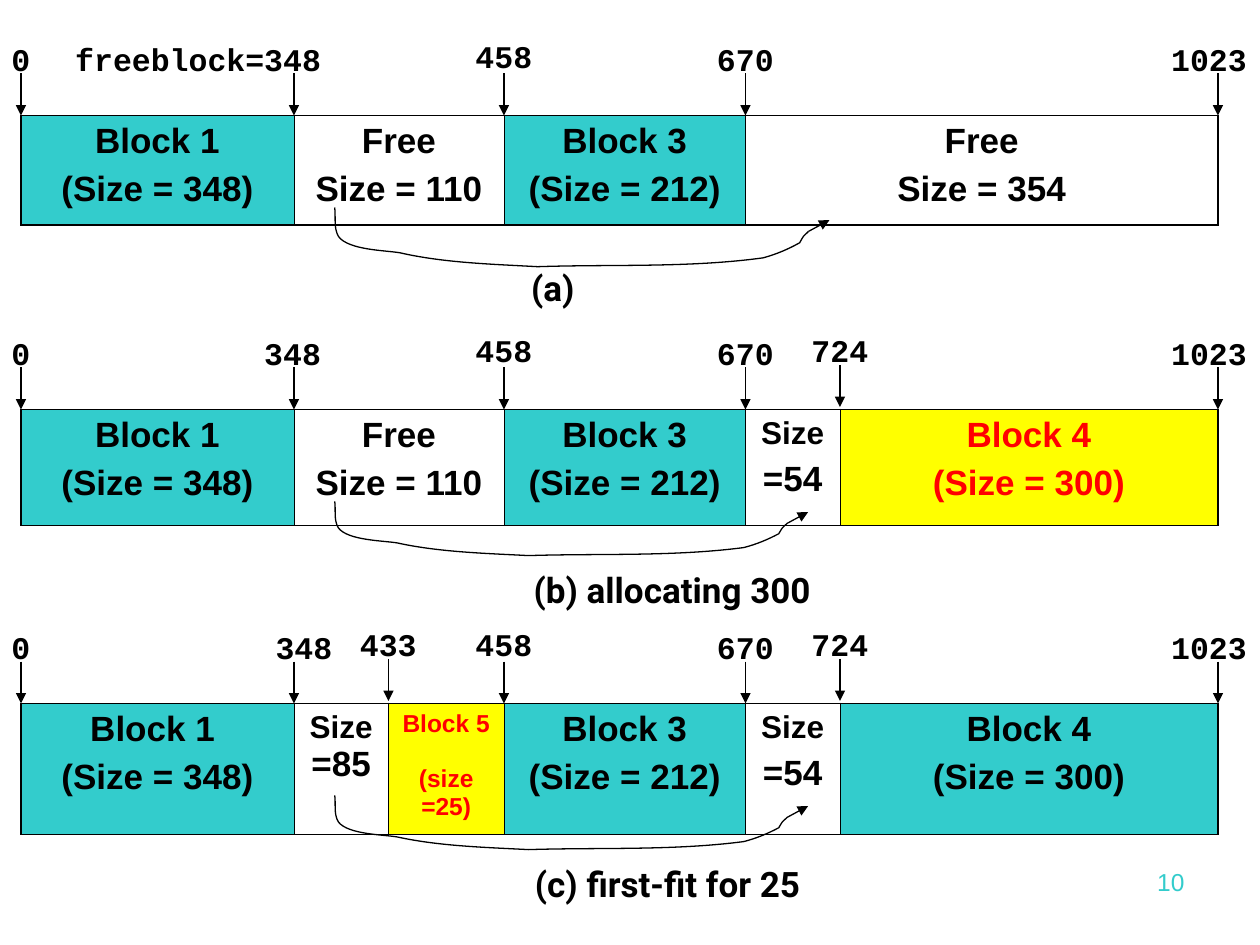
from itertools import pairwise

from lxml.etree import SubElement
from pptx import Presentation
from pptx.dml.color import RGBColor
from pptx.enum.shapes import MSO_CONNECTOR
from pptx.enum.text import MSO_ANCHOR, MSO_AUTO_SIZE, PP_ALIGN
from pptx.oxml.ns import qn
from pptx.util import Inches, Pt

COLORS = {
    "ink": "000000",
    "used": "33CCCC",
    "new": "FFFF00",
    "alert": "FF0000",
    "page": "33CCCC",
}
GRID = 1 / 12
EDGES = {address: cells * GRID for address, cells in
         {0: 0, 348: 26, 433: 35, 458: 46, 670: 69, 724: 78, 1023: 114}.items()}
RAISED_LABELS = (458, 433, 724)
RAISED_ARROWS = (433, 724)
LINK_CURVE = [
    (0.01, 0.08), (-0.01, 0.16), (0.03, 0.23),
    (0.11, 0.34), (0.41, 0.34), (0.52, 0.36),
    (0.87, 0.44), (1.25, 0.45), (1.61, 0.47),
    (2.21, 0.45), (2.81, 0.48), (3.4, 0.4),
    (3.51, 0.37), (3.6, 0.33), (3.69, 0.28),
    (3.73, 0.21), (3.71, 0.24), (3.76, 0.19),
]


def rgb(name):
    return RGBColor.from_string(COLORS[name])


def write(paragraph, text, size=20, font="Arial", color="ink", bold=True,
          align=PP_ALIGN.LEFT, before=0):
    paragraph.alignment = align
    paragraph.space_before = Pt(before)
    run = paragraph.add_run()
    run.text = text
    run.font.size = Pt(size)
    run.font.name = font
    run.font.bold = bold
    run.font.color.rgb = rgb(color)


def add_text(slide, left, top, width, height, text, wrap=False, **style):
    box = slide.shapes.add_textbox(Inches(left), Inches(top), Inches(width), Inches(height))
    frame = box.text_frame
    frame.word_wrap = wrap
    frame.auto_size = MSO_AUTO_SIZE.NONE if wrap else MSO_AUTO_SIZE.SHAPE_TO_FIT_TEXT
    write(frame.paragraphs[0], text, **style)


def add_arrow(slide, x1, y1, x2, y2):
    arrow = slide.shapes.add_connector(
        MSO_CONNECTOR.STRAIGHT, Inches(x1), Inches(y1), Inches(x2), Inches(y2))
    arrow.line.color.rgb = rgb("ink")
    arrow.line.width = Pt(0.75)
    SubElement(arrow.line._get_or_add_ln(), qn("a:tailEnd"), type="triangle")
    SubElement(arrow._element.spPr, qn("a:effectLst"))


def set_borders(cell, first, last):
    widths = {"L": 1.08 if first else 0.45, "R": 1.08 if last else 0.45, "T": 1.08, "B": 1.08}
    for side, width in widths.items():
        border = SubElement(cell._tc.get_or_add_tcPr(), qn(f"a:ln{side}"), w=str(Pt(width)))
        fill = SubElement(border, qn("a:solidFill"))
        SubElement(fill, qn("a:srgbClr"), val=COLORS["ink"])


def add_blocks(slide, left, top, height, blocks, addresses):
    table = slide.shapes.add_table(
        1, len(blocks), Inches(left), Inches(top), Inches(EDGES[1023]), Inches(height)).table
    table.first_row = table.horz_banding = False
    table.rows[0].height = Inches(height)
    for column, (start, end) in enumerate(pairwise(addresses)):
        table.columns[column].width = Inches(EDGES[end] - EDGES[start])
        fill, color, lines = blocks[column]
        cell = table.cell(0, column)
        cell.vertical_anchor = MSO_ANCHOR.TOP
        set_borders(cell, column == 0, column == len(blocks) - 1)
        if fill:
            cell.fill.solid()
            cell.fill.fore_color.rgb = rgb(fill)
        else:
            cell.fill.background()
        frame = cell.text_frame
        for row, (before, *runs) in enumerate(lines):
            paragraph = frame.add_paragraph() if row else frame.paragraphs[0]
            for text, size in runs:
                write(paragraph, text, size=size, color=color,
                      align=PP_ALIGN.CENTER, before=before)


def add_addresses(slide, left, top, addresses, labels):
    for address in addresses:
        x = left + EDGES[address]
        text, shift = labels.get(address, (str(address), 0))
        width = 0.2 + 0.15 * len(text)
        label_top = top - (0.67 if address in RAISED_LABELS else 0.65)
        add_text(slide, x + shift - width / 2, label_top, width, 0.4, text,
                 size=18, font="Courier New")
        tip = top - (0.02 if address in RAISED_ARROWS else 0)
        add_arrow(slide, x, tip - 4 * GRID, x, tip)


def bend_segments(outline):
    for outline_part in outline._element.iter(qn("a:path")):
        segments = outline_part.findall(qn("a:lnTo"))
        for index in range(0, len(segments), 3):
            curve = SubElement(outline_part, qn("a:cubicBezTo"))
            for segment in segments[index:index + 3]:
                curve.append(segment[0])
                outline_part.remove(segment)


def add_free_link(slide, left, top, scale_x, scale_y):
    points = [(left + x * scale_x, top + y * scale_y) for x, y in LINK_CURVE]
    builder = slide.shapes.build_freeform(Inches(left), Inches(top))
    builder.add_line_segments([(Inches(x), Inches(y)) for x, y in points], close=False)
    link = builder.convert_to_shape()
    bend_segments(link)
    link.shadow.inherit = False
    link.fill.background()
    link.line.color.rgb = rgb("ink")
    link.line.width = Pt(0.75)
    x, y = points[-1]
    add_arrow(slide, x, y, x + 2 * GRID, y - 0.09)


def add_memory_map(slide, left, top, height, blocks, addresses, labels, link_scale, caption):
    add_blocks(slide, left, top, height, blocks, addresses)
    add_addresses(slide, left, top, addresses, labels)
    add_free_link(slide, left + 2.49, top + 0.73, *link_scale)
    text, x, y, width = caption
    add_text(slide, left + x, top + y, width, 0.44, text, font="Roboto")


def block(title, size, fill="used", color="ink"):
    return fill, color, [(5, (title, 20)), (5, (size, 20))]


def main():
    presentation = Presentation()
    presentation.slide_width, presentation.slide_height = Inches(10), Inches(7.5)
    slide = presentation.slides.add_slide(presentation.slide_layouts[6])

    block_1 = block("Block 1", "(Size = 348)")
    free_110 = block("Free", "Size = 110", fill=None)
    block_3 = block("Block 3", "(Size = 212)")
    free_54 = None, "ink", [(4.5, ("Size", 18)), (5, ("=54", 20))]
    free_85 = None, "ink", [(5, ("Size ", 18), ("=85", 20))]
    block_5 = "new", "alert", [(3.5, ("Block 5", 14)), (16, ("(size =25)", 14))]
    last_label = {1023: ("1023", -0.07)}

    add_memory_map(
        slide, 2 * GRID, 11 * GRID, 0.87,
        [block_1, free_110, block_3, block("Free", "Size = 354", fill=None)],
        [0, 348, 458, 670, 1023],
        last_label | {348: ("freeblock=348", -0.76)},
        (1, 1), ("(a)", 3.95, 1.15, 0.55))
    add_memory_map(
        slide, 2 * GRID, 39 * GRID, 0.92,
        [block_1, free_110, block_3, free_54,
         block("Block 4", "(Size = 300)", fill="new", color="alert")],
        [0, 348, 458, 670, 724, 1023],
        last_label | {348: ("348", -0.01)},
        (0.955, 0.915), ("(b) allocating 300", 3.97, 1.21, 2.57))
    add_memory_map(
        slide, 2 * GRID, 67 * GRID, 1.04,
        [block("Block 1 ", "(Size = 348)"), free_85, block_5, block_3, free_54,
         block("Block 4", "(Size = 300)")],
        [0, 348, 433, 458, 670, 724, 1023],
        last_label | {348: ("348", 0.08)},
        (0.955, 0.915), ("(c) first-fit for 25", 3.98, 1.21, 2.45))
    add_text(slide, 7.17, 6.83, 2.33, 0.52, "10", wrap=True, size=14, color="page",
             bold=False, align=PP_ALIGN.RIGHT)
    presentation.save("out.pptx")


if __name__ == "__main__":
    main()
